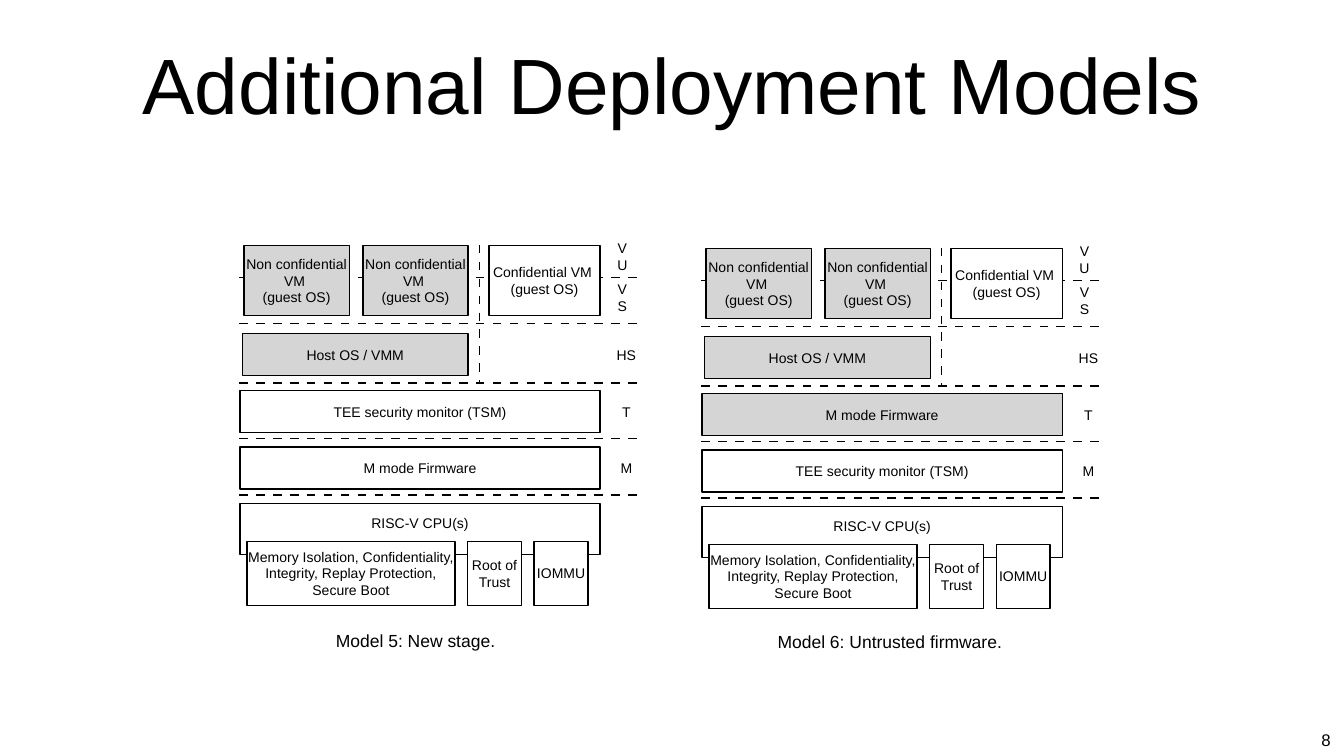
from lxml.etree import SubElement
from pptx import Presentation
from pptx.dml.color import RGBColor
from pptx.enum.shapes import MSO_CONNECTOR, MSO_SHAPE
from pptx.enum.text import MSO_ANCHOR, MSO_AUTO_SIZE, PP_ALIGN
from pptx.oxml.ns import qn
from pptx.util import Inches, Pt

BLACK = RGBColor(0x00, 0x00, 0x00)
WHITE = RGBColor(0xFF, 0xFF, 0xFF)
GRAY = RGBColor(0xD5, 0xD5, 0xD5)
COLUMNS, ROWS = 26.67, 15
STACK_WIDTH = 7.15
TIER_HEIGHT = 0.83
MODE_X, MODE_WIDTH, MODE_HEIGHT = 7.43, 0.5, 0.45
DASH = {"d": "600000", "sp": "600000"}


class DeploymentSlide:
    font_name = "Arial"
    stroke = Pt(2)
    inset = 0.06

    def __init__(self, slide, width, height):
        self.slide = slide
        self.column = width / COLUMNS
        self.row = height / ROWS
        self.origin = (0, 0)

    def place(self, x, y, width, height):
        left, top = self.origin
        return (round((left + x) * self.column), round((top + y) * self.row),
                round(width * self.column), round(height * self.row))

    def set_words(self, holder, words, size, margin, right=None, wrap=True,
                  anchor=MSO_ANCHOR.MIDDLE):
        frame = holder.text_frame
        frame.text = words
        frame_format = {
            "margin_left": Inches(margin),
            "margin_right": Inches(margin if right is None else right),
            "margin_top": Inches(margin),
            "margin_bottom": Inches(margin),
            "word_wrap": wrap,
            "auto_size": MSO_AUTO_SIZE.NONE,
            "vertical_anchor": anchor,
        }
        for name, value in frame_format.items():
            setattr(frame, name, value)
        paragraph = frame.paragraphs[0]
        paragraph.alignment = PP_ALIGN.CENTER
        for run in paragraph.runs:
            for name, value in {"name": self.font_name, "size": Pt(size)}.items():
                setattr(run.font, name, value)
            run.font.color.rgb = BLACK

    def title(self, words, *area):
        heading = self.slide.shapes.title
        for name, value in zip(("left", "top", "width", "height"), self.place(*area)):
            setattr(heading, name, value)
        self.set_words(heading, words, 112, self.inset)

    def box(self, words, x, y, width, height, fill=WHITE, margin=0,
            anchor=MSO_ANCHOR.MIDDLE):
        block = self.slide.shapes.add_shape(
            MSO_SHAPE.RECTANGLE, *self.place(x, y, width, height))
        block.shadow.inherit = False
        block.fill.solid()
        block.fill.fore_color.rgb = fill
        block.line.color.rgb = BLACK
        block.line.width = self.stroke
        self.set_words(block, words, 20, margin, anchor=anchor)

    def label(self, words, x, y, width, height, size=20, **layout):
        note = self.slide.shapes.add_textbox(*self.place(x, y, width, height))
        self.set_words(note, words, size, self.inset, **layout)

    def boundary(self, x, y, width, height):
        left, top, across, down = self.place(x, y, width, height)
        divider = self.slide.shapes.add_connector(
            MSO_CONNECTOR.STRAIGHT, left, top, left + across, top + down)
        divider.line.color.rgb = BLACK
        divider.line.width = self.stroke
        properties = divider._element.spPr
        pattern = SubElement(properties.find(qn("a:ln")), qn("a:custDash"))
        SubElement(pattern, qn("a:ds"), DASH)
        SubElement(properties, qn("a:effectLst"))

    def stack(self, origin, tiers):
        self.origin = origin
        self.boundary(4.76, 0, 0, 2.73)
        self.boundary(0, 0.65, 8, 0)
        for x in (0.09, 2.45):
            self.box("Non confidential VM \v(guest OS)", x, 0.01, 2.09, 1.39, GRAY)
        self.box("Confidential VM \v(guest OS)", 4.95, 0.01, 2.21, 1.39)
        self.box("Host OS / VMM", 0.06, 1.76, 4.48, TIER_HEIGHT, GRAY)
        for (words, fill), y in zip(tiers, (2.89, 4.01)):
            self.box(words, 0.01, y, STACK_WIDTH, TIER_HEIGHT, fill)
        self.box("RISC-V CPU(s)", 0.01, 5.13, STACK_WIDTH, 1.01,
                 margin=0.21, anchor=MSO_ANCHOR.TOP)
        hardware = (
            ("Memory Isolation, Confidentiality, Integrity, "
             "Replay Protection, Secure Boot", 0.15, 4.13),
            ("Root of Trust", 4.53, 1.07),
            ("IOMMU", 5.85, 1.07),
        )
        for words, x, width in hardware:
            self.box(words, x, 5.88, width, 1.27)
        for y in (1.56, 2.74, 3.84, 4.96):
            self.boundary(0, y, 8, 0)
        for mode, y in (("VU", 0), ("VS", 0.82)):
            self.label(mode, MODE_X, y, MODE_WIDTH, MODE_HEIGHT, right=0.22)
        for mode, y in (("HS", 1.96), ("T", 3.08), ("M", 4.2)):
            self.label(mode, MODE_X, y, MODE_WIDTH, MODE_HEIGHT, wrap=False)
        self.origin = (0, 0)


def main():
    deck = Presentation()
    deck.slide_width, deck.slide_height = Inches(COLUMNS), Inches(ROWS)
    page = DeploymentSlide(deck.slides.add_slide(deck.slide_layouts[5]),
                           deck.slide_width, deck.slide_height)
    page.title("Additional Deployment Models", 1.85, 0.39, 22.97, 2.5)

    monitor, firmware = "TEE security monitor (TSM)", "M mode Firmware"
    page.stack((4.75, 4.86), ((monitor, WHITE), (firmware, WHITE)))
    page.stack((13.92, 4.92), ((firmware, GRAY), (monitor, WHITE)))

    page.label("Model 5: New stage.", 6.58, 12.44, 3.33, 0.52, size=25, wrap=False)
    page.label("Model 6: Untrusted firmware.", 15.33, 12.46, 4.65, 0.52,
               size=25, wrap=False)
    page.label("8", 26.16, 14.42, 0.31, 0.5, size=24, wrap=False,
               anchor=MSO_ANCHOR.TOP)
    deck.save("out.pptx")


if __name__ == "__main__":
    main()
